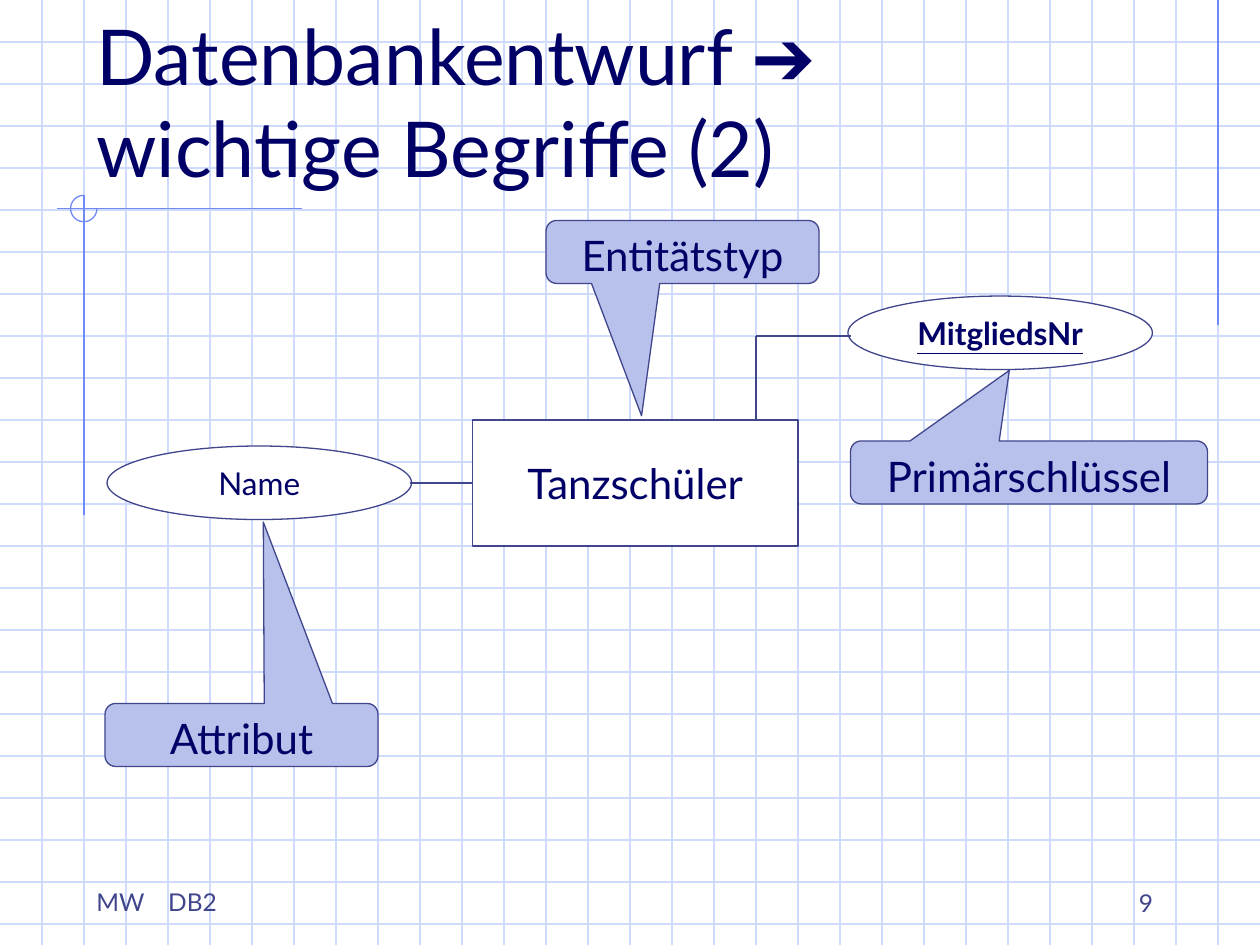
import pptx
import pptx.util
import pptx.dml.color
import pptx.enum.shapes
import pptx.enum.text
import lxml.etree
from dataclasses import dataclass

Kind = pptx.enum.shapes.MSO_SHAPE
Align = pptx.enum.text.PP_ALIGN
Anchor = pptx.enum.text.MSO_ANCHOR


@dataclass(frozen=True)
class Theme:
    ink: str = "000066"
    edge: str = "40458C"
    note: str = "B7C1EB"
    paper: str = "FFFFFF"
    grid: str = "CFDBFD"
    trim: str = "6F89F7"
    font: str = "Lato"
    sign: str = "Arial"
    head: int = 44
    large: int = 24
    small: int = 18
    foot: int = 14
    line: float = 0.75


look = Theme()
COLS, ROWS = 30, 22.5
WIDTH, HEIGHT = 10, 7.5

TITLE = [
    [("Datenbankentwurf ", look.font), ("➔", look.sign)],
    [("wichtige Begriffe (2)", look.font)],
]
TRIM = [(29, 0, 29, 7.75), (7.2, 4.97, 1.35, 4.97), (2, 4.64, 2, 12.27)]
NODES = [
    ("Tanzschüler", Kind.RECTANGLE, (11.25, 10, 7.75, 3), look.large, False),
    ("Name", Kind.OVAL, (2.55, 10.62, 7.25, 1.75), look.small, False),
    ("MitgliedsNr", Kind.OVAL, (20.19, 7.05, 7.25, 1.75), look.small, True),
]
LINKS = [(9.75, 11.5, 11.25, 11.5), (20.25, 8, 18, 8), (18, 8, 18, 10)]
NOTES = [
    ("Entitätstyp", (13, 5.25, 6.5, 1.5), (-0.15, 2.6, 0.17)),
    ("Attribut", (2.5, 16.75, 6.5, 1.5), (0.08, -3.38, 0.17)),
    ("Primärschlüssel", (20.25, 10.5, 8.5, 1.5), (-0.055, -1.62, 0.17)),
]

deck = pptx.Presentation()
deck.slide_width = pptx.util.Inches(WIDTH)
deck.slide_height = pptx.util.Inches(HEIGHT)
slide = deck.slides.add_slide(deck.slide_layouts[6])
shapes = slide.shapes


def place(cells):
    steps = (WIDTH / COLS, HEIGHT / ROWS) * 2
    return [pptx.util.Inches(n * step) for n, step in zip(cells, steps)]


def color(code):
    return pptx.dml.color.RGBColor.from_string(code)


def stroke(item, code):
    item.line.color.rgb = color(code)
    item.line.width = pptx.util.Pt(look.line)


def rule(ends, code):
    item = shapes.add_connector(
        pptx.enum.shapes.MSO_CONNECTOR.STRAIGHT, *place(ends))
    stroke(item, code)
    lxml.etree.SubElement(
        item.line._get_or_add_ln().getparent(), pptx.oxml.ns.qn("a:effectLst"))


def style(run, size, code=look.ink, font=look.font, key=False):
    run.font.name = font
    run.font.size = pptx.util.Pt(size)
    run.font.color.rgb = color(code)
    if key:
        run.font.bold = run.font.underline = True


def write(item, text, size, code=look.ink, align=Align.CENTER,
          anchor=Anchor.MIDDLE, wrap=True, key=False):
    frame = item.text_frame
    frame.text = text
    frame.word_wrap = wrap
    frame.vertical_anchor = anchor
    line = frame.paragraphs[0]
    line.alignment = align
    for run in line.runs:
        style(run, size, code, key=key)
    return line


def figure(kind, cells, fill):
    item = shapes.add_shape(kind, *place(cells))
    item.shadow.inherit = False
    item.fill.solid()
    item.fill.fore_color.rgb = color(fill)
    stroke(item, look.edge)
    return item


for row in range(1, int(ROWS) + 1):
    rule((0, row, COLS, row), look.grid)
for col in range(1, COLS):
    rule((col, 0, col, ROWS), look.grid)
for ends in TRIM:
    rule(ends, look.trim)

ring = shapes.add_shape(Kind.ARC, *place((1.68, 4.65, 0.63, 0.63)))
ring.shadow.inherit = False
ring.fill.background()
stroke(ring, look.trim)
for n, angle in enumerate((0, 270)):
    ring.adjustments[n] = angle * 0.6

foot = shapes.add_textbox(*place((2, 20.97, 6.75, 1.02)))
line = write(foot, "MW\tDB2", look.foot, look.edge, Align.LEFT, Anchor.TOP)
tabs = lxml.etree.SubElement(
    line._p.get_or_add_pPr(), pptx.oxml.ns.qn("a:tabLst"))
lxml.etree.SubElement(tabs, pptx.oxml.ns.qn("a:tab"),
                      pos=str(pptx.util.Inches(0.57)), algn="l")

title = shapes.add_textbox(*place((2, 1, 25.5, 3.75)))
line = write(title, "", look.head, align=Align.LEFT, anchor=Anchor.BOTTOM)
for n, parts in enumerate(TITLE):
    if n:
        line.add_line_break()
    for text, font in parts:
        run = line.add_run()
        run.text = text
        style(run, look.head, font=font)

for text, kind, cells, size, key in NODES:
    write(figure(kind, cells, look.paper), text, size, wrap=False, key=key)
for ends in LINKS:
    rule(ends, look.edge)
for text, cells, tip in NOTES:
    item = figure(Kind.ROUNDED_RECTANGULAR_CALLOUT, cells, look.note)
    for n, value in enumerate(tip):
        item.adjustments[n] = value
    write(item, text, look.large, anchor=Anchor.TOP)

page = shapes.add_textbox(*place((21.5, 20.5, 6.25, 1.5)))
write(page, "9", look.foot, look.edge, Align.RIGHT, Anchor.BOTTOM)

deck.save("out.pptx")
